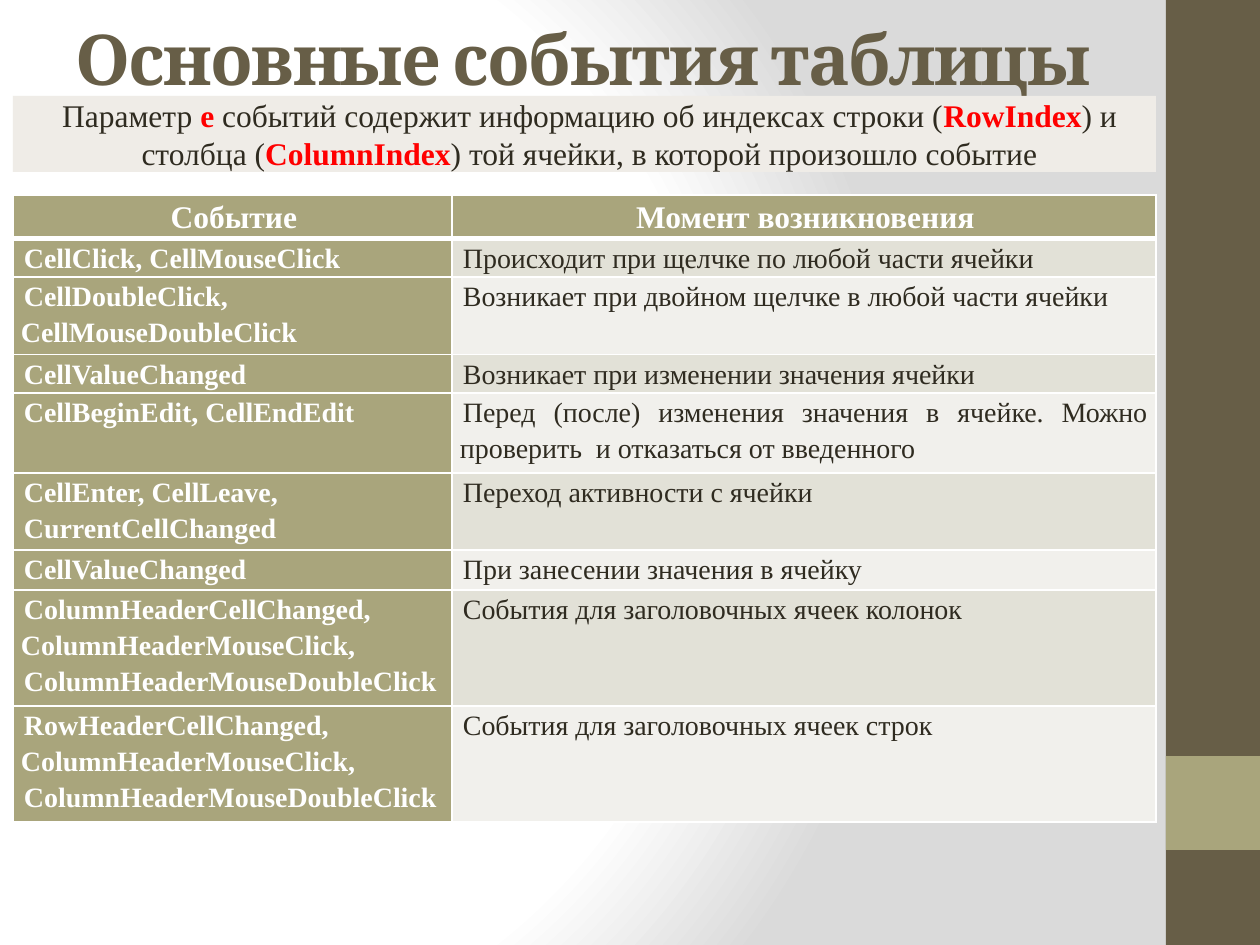
import pptx
import pptx.util
import pptx.oxml
import pptx.oxml.ns
import pptx.dml.color
import pptx.enum.shapes
import pptx.enum.text

EMU_PER_PX = 914400 / 126
ALIGN = pptx.enum.text.PP_ALIGN
ANCHOR = pptx.enum.text.MSO_ANCHOR
BODY_FONT = "Times New Roman"
COLORS = {
    "brown": "675E47", "olive": "A9A57C", "white": "FFFFFF", "grey": "DADADA",
    "text": "2F2B20", "red": "FF0000", "caption": "EFECE7",
    "band_dark": "E2E1D7", "band_light": "F1F0EC",
}
COL_WIDTHS = [439, 704]
HEADER = ("Событие", "Момент возникновения")
# Event names, moment of occurrence, row height
EVENTS = [
    ("CellClick, CellMouseClick",
     "Происходит при щелчке по любой части ячейки", 35),
    ("CellDoubleClick, CellMouseDoubleClick",
     "Возникает при двойном щелчке в любой части ячейки", 72),
    ("CellValueChanged", "Возникает при изменении значения ячейки", 36),
    ("CellBeginEdit, CellEndEdit",
     "Перед (после) изменения значения в ячейке. "
     "Можно проверить  и отказаться от введенного", 80),
    ("CellEnter, CellLeave,\nCurrentCellChanged", "Переход активности с ячейки", 71),
    ("CellValueChanged", "При занесении значения в ячейку", 40),
    ("ColumnHeaderCellChanged, ColumnHeaderMouseClick,\nColumnHeaderMouseDoubleClick",
     "События для заголовочных ячеек колонок", 107),
    ("RowHeaderCellChanged, ColumnHeaderMouseClick,\nColumnHeaderMouseDoubleClick",
     "События для заголовочных ячеек строк", 107),
]
CAPTION = [
    ("Параметр ", False), ("e ", True),
    ("событий содержит информацию об индексах строки (", False),
    ("RowIndex", True), (") и столбца (", False), ("ColumnIndex", True),
    (") той ячейки, в которой произошло событие", False),
]


def px(n):
    return pptx.util.Emu(round(n * EMU_PER_PX))


def rgb(name):
    return pptx.dml.color.RGBColor.from_string(COLORS[name])


def add_run(p, text, size=16, font=BODY_FONT, color="text", bold=False, spacing=None):
    r = p.add_run()
    r.text = text
    r.font.size = pptx.util.Pt(size)
    r.font.name = font
    r.font.bold = bold
    r.font.color.rgb = rgb(color)
    if spacing is not None:
        r.font._element.set("spc", str(spacing * 100))


def set_margins(target, left, top, right, bottom):
    target.margin_left, target.margin_top = px(left), px(top)
    target.margin_right, target.margin_bottom = px(right), px(bottom)


def set_background(s):
    """Radial gradient, white at the left and grey towards the right."""
    stops = "".join(
        f'<a:gs pos="{pos * 1000}"><a:srgbClr val="{COLORS[name]}"/></a:gs>'
        for pos, name in [(0, "white"), (75, "white"), (100, "grey")])
    grad = pptx.oxml.parse_xml(
        f'<a:gradFill {pptx.oxml.ns.nsdecls("a")} rotWithShape="1">'
        f'<a:gsLst>{stops}</a:gsLst><a:path path="circle">'
        '<a:fillToRect l="20000" t="50000" r="100000" b="50000"/>'
        '</a:path></a:gradFill>')
    s.background.fill.gradient()
    default = s.element.find(".//" + pptx.oxml.ns.qn("a:gradFill"))
    default.getparent().replace(default, grad)


def add_rect(s, x, y, w, h, color):
    sp = s.shapes.add_shape(
        pptx.enum.shapes.MSO_SHAPE.RECTANGLE, px(x), px(y), px(w), px(h))
    sp.shadow.inherit = False
    sp.fill.solid()
    sp.fill.fore_color.rgb = rgb(color)
    sp.line.fill.background()
    return sp


def add_title(s, text):
    tf = s.shapes.add_textbox(0, 0, px(1166), px(106)).text_frame
    tf.word_wrap = True
    tf.vertical_anchor = ANCHOR.BOTTOM
    p = tf.paragraphs[0]
    p.alignment = ALIGN.CENTER
    add_run(p, text, size=40, font="Cambria", color="brown", bold=True, spacing=-1)


def add_caption(s):
    tf = add_rect(s, 13, 96, 1143, 76, "caption").text_frame
    tf.word_wrap = True
    tf.vertical_anchor = ANCHOR.MIDDLE
    set_margins(tf, 0, 0, 0, 0)
    p = tf.paragraphs[0]
    p.alignment = ALIGN.CENTER
    p._p.get_or_add_pPr().set("marL", str(px(10)))
    for text, key in CAPTION:
        add_run(p, text, size=18, color="red" if key else "text", bold=key)


def set_borders(cell, bottom):
    tc_pr = cell._tc.get_or_add_tcPr()
    for i, (side, width) in enumerate([("L", 1), ("R", 1), ("T", 1), ("B", bottom)]):
        tc_pr.insert(i, pptx.oxml.parse_xml(
            f'<a:ln{side} {pptx.oxml.ns.nsdecls("a")} w="{pptx.util.Pt(width)}">'
            f'<a:solidFill><a:srgbClr val="{COLORS["white"]}"/></a:solidFill>'
            f'</a:ln{side}>'))


def fill_cell(cell, text, fill, align=ALIGN.JUSTIFY, bottom=1, **fmt):
    cell.fill.solid()
    cell.fill.fore_color.rgb = rgb(fill)
    set_borders(cell, bottom)
    set_margins(cell, 8, 0, 8, 0)
    tf = cell.text_frame
    for i, line in enumerate(text.split("\n")):
        p = tf.add_paragraph() if i else tf.paragraphs[0]
        p.alignment = align
        p.line_spacing = 1.15
        p._p.get_or_add_pPr().set("indent", str(px(3)))
        add_run(p, line, **fmt)


def add_event_table(s):
    heights = [41] + [height for _, _, height in EVENTS]
    table = s.shapes.add_table(
        len(heights), len(COL_WIDTHS), px(13), px(195),
        px(sum(COL_WIDTHS)), px(sum(heights))).table
    for col, width in zip(table.columns, COL_WIDTHS):
        col.width = px(width)
    for row, height in zip(table.rows, heights):
        row.height = px(height)
    for c, text in enumerate(HEADER):
        fill_cell(table.cell(0, c), text, "olive", align=ALIGN.CENTER,
                  bottom=3, size=18, color="white", bold=True)
    for r, (names, moment, _) in enumerate(EVENTS, start=1):
        fill_cell(table.cell(r, 0), names, "olive", color="white", bold=True)
        fill_cell(table.cell(r, 1), moment, "band_dark" if r % 2 else "band_light")


def main():
    prs = pptx.Presentation()
    prs.slide_width, prs.slide_height = px(1260), px(945)
    s = prs.slides.add_slide(prs.slide_layouts[6])
    set_background(s)
    add_rect(s, 1166, 0, 94, 945, "brown")
    add_rect(s, 1166, 756, 94, 94, "olive")
    add_title(s, "Основные события таблицы")
    add_event_table(s)
    add_caption(s)
    prs.save("out.pptx")


if __name__ == "__main__":
    main()
